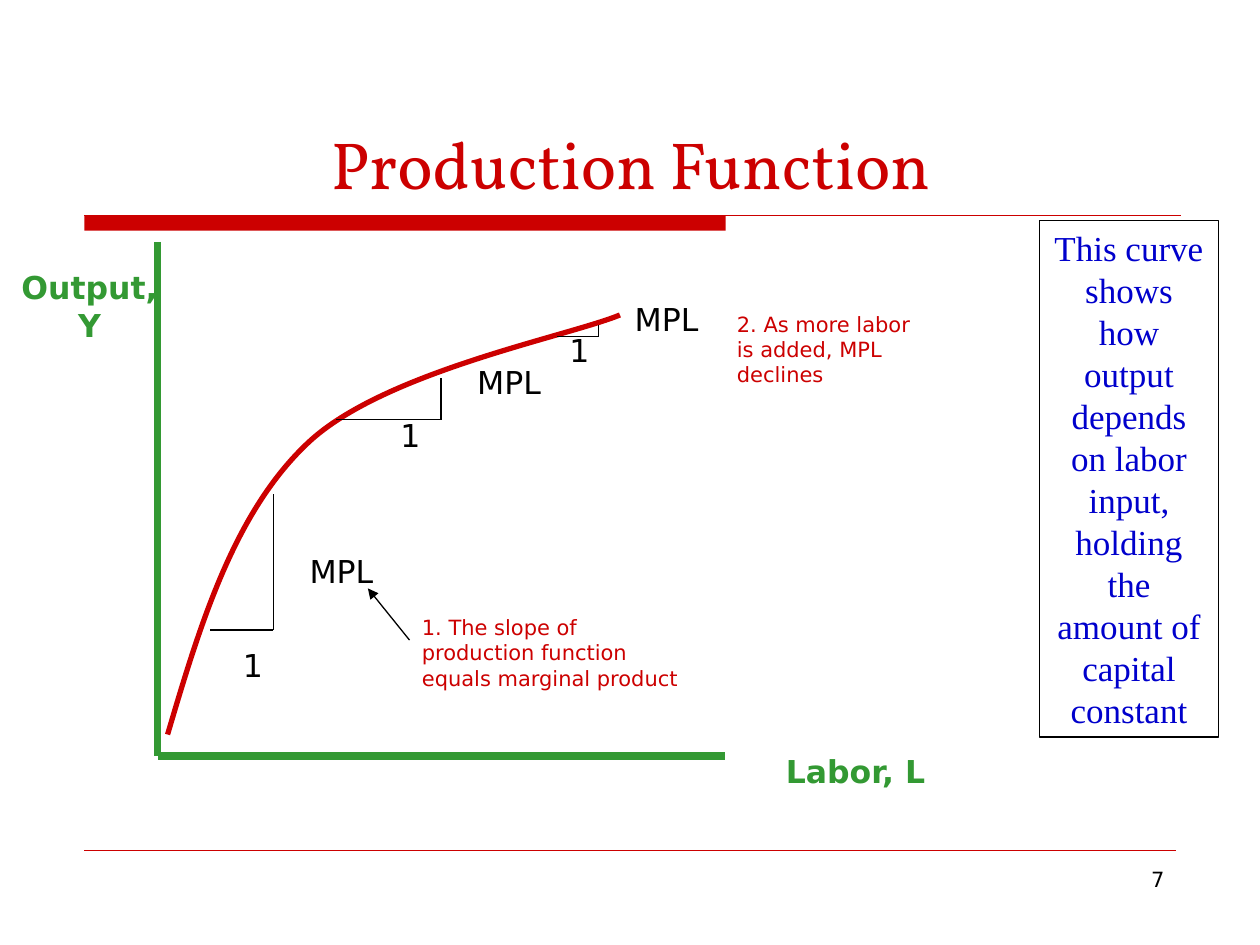
from lxml.etree import SubElement
from pptx import Presentation
from pptx.dml.color import RGBColor
from pptx.enum.shapes import MSO_CONNECTOR, MSO_SHAPE
from pptx.enum.text import MSO_ANCHOR, MSO_AUTO_SIZE, PP_ALIGN
from pptx.oxml.ns import qn
from pptx.util import Inches, Pt

COLORS = {
    "red": "CC0000",
    "green": "339933",
    "blue": "0000CC",
    "black": "000000",
}
SANS = "DejaVu Sans"
CURVE = [
    (1.33, 5.83),
    (1.59, 4.95), (1.86, 4.06), (2.45, 3.51),
    (3.05, 2.95), (4.51, 2.67), (4.92, 2.5),
]
SLOPE_STEPS = [
    (1.67, 5, 2.17, 3.92),
    (2.67, 3.33, 3.5, 3),
    (4.42, 2.67, 4.75, 2.58),
]
UNIT_LABELS = [(1.83, 5.08), (3.08, 3.25), (4.42, 2.58)]
MPL_LABELS = [(2.25, 4.33), (3.58, 2.83), (4.83, 2.33)]
AXIS_LABELS = [("Labor, L", 6.08, 5.92), ("Output, Y", 0, 2.08)]


def rgb(name):
    return RGBColor.from_string(COLORS[name])


def set_line(shape, color, width):
    shape.line.color.rgb = rgb(color)
    shape.line.width = Pt(width)


def add_line(page, start, end, color="black", width=0.75, arrow=False):
    points = [Inches(value) for value in (*start, *end)]
    line = page.shapes.add_connector(MSO_CONNECTOR.STRAIGHT, *points)
    set_line(line, color, width)
    properties = line._element.spPr
    if arrow:
        SubElement(properties.find(qn("a:ln")), qn("a:tailEnd"), type="triangle")
    SubElement(properties, qn("a:effectLst"))


def add_rect(page, *place):
    rect = page.shapes.add_shape(MSO_SHAPE.RECTANGLE, *map(Inches, place))
    rect.shadow.inherit = False
    return rect


def write(box, text, size, color="black", font=SANS, bold=False,
          align=PP_ALIGN.CENTER, anchor=MSO_ANCHOR.TOP, grow=True):
    frame = box.text_frame
    frame.word_wrap = True
    frame.vertical_anchor = anchor
    frame.auto_size = MSO_AUTO_SIZE.SHAPE_TO_FIT_TEXT if grow else MSO_AUTO_SIZE.NONE
    para = frame.paragraphs[0]
    para.text = text
    para.alignment = align
    para.font.name = font
    para.font.size = Pt(size)
    para.font.bold = bold
    para.font.color.rgb = rgb(color)


def add_text(page, place, text, size, **style):
    box = page.shapes.add_textbox(*map(Inches, place))
    write(box, text, size, **style)


def add_curve(page, points, color, width):
    start, *rest = [(Inches(x), Inches(y)) for x, y in points]
    builder = page.shapes.build_freeform(*start)
    builder.add_line_segments(rest, close=False)
    curve = builder.convert_to_shape()
    curve.shadow.inherit = False
    curve.fill.background()
    set_line(curve, color, width)
    outline = next(curve._element.iter(qn("a:path")))
    segments = outline.findall(qn("a:lnTo"))
    for first in range(0, len(segments), 3):
        bezier = SubElement(outline, qn("a:cubicBezTo"))
        for segment in segments[first:first + 3]:
            bezier.append(segment[0])
            outline.remove(segment)


def add_frame(page):
    bar = add_rect(page, 0.67, 1.71, 5.09, 0.12)
    bar.fill.solid()
    bar.fill.fore_color.rgb = rgb("red")
    bar.line.fill.background()
    add_line(page, (0.67, 1.71), (9.37, 1.71), "red", 1)
    add_line(page, (0.67, 6.75), (9.33, 6.75), "red", 0.25)
    add_text(page, (7.17, 6.83, 2.17, 0.52), "7", 12, align=PP_ALIGN.RIGHT, grow=False)
    add_text(page, (0.63, 0.33, 8.75, 1.33), "Production Function", 38, color="red",
             font="Vollkorn", anchor=MSO_ANCHOR.BOTTOM, grow=False)


def add_graph(page):
    origin = (1.25, 6)
    add_line(page, (1.25, 1.92), origin, "green", 4.5)
    add_line(page, origin, (5.75, 6), "green", 4.5)
    add_curve(page, CURVE, "red", 3)
    for left, base, right, top in SLOPE_STEPS:
        add_line(page, (left, base), (right, base))
        add_line(page, (right, base), (right, top))
    for left, top in UNIT_LABELS:
        add_text(page, (left, top, 0.25, 0.4), "1", 18)
    for left, top in MPL_LABELS:
        add_text(page, (left, top, 0.92, 0.4), "MPL", 18)
    for text, left, top in AXIS_LABELS:
        add_text(page, (left, top, 1.42, 0.4), text, 18, color="green", bold=True)


def add_notes(page):
    style = {"color": "red", "align": PP_ALIGN.LEFT}
    add_text(page, (3.25, 4.83, 2.25, 0.7),
             "1. The slope of production function equals marginal product", 12, **style)
    add_line(page, (3.25, 5.08), (2.92, 4.67), arrow=True)
    add_text(page, (5.75, 2.42, 1.58, 0.7),
             "2. As more labor is added, MPL declines", 12, **style)
    panel = add_rect(page, 8.25, 1.75, 1.42, 4.1)
    panel.fill.background()
    set_line(panel, "black", 0.75)
    write(panel, "This curve shows how output depends on labor input, "
          "holding the amount of capital constant", 20, "blue", "Times New Roman")


def main():
    deck = Presentation()
    deck.slide_width, deck.slide_height = Inches(10), Inches(7.5)
    page = deck.slides.add_slide(deck.slide_layouts[6])
    add_frame(page)
    add_graph(page)
    add_notes(page)
    deck.save("out.pptx")


if __name__ == "__main__":
    main()
